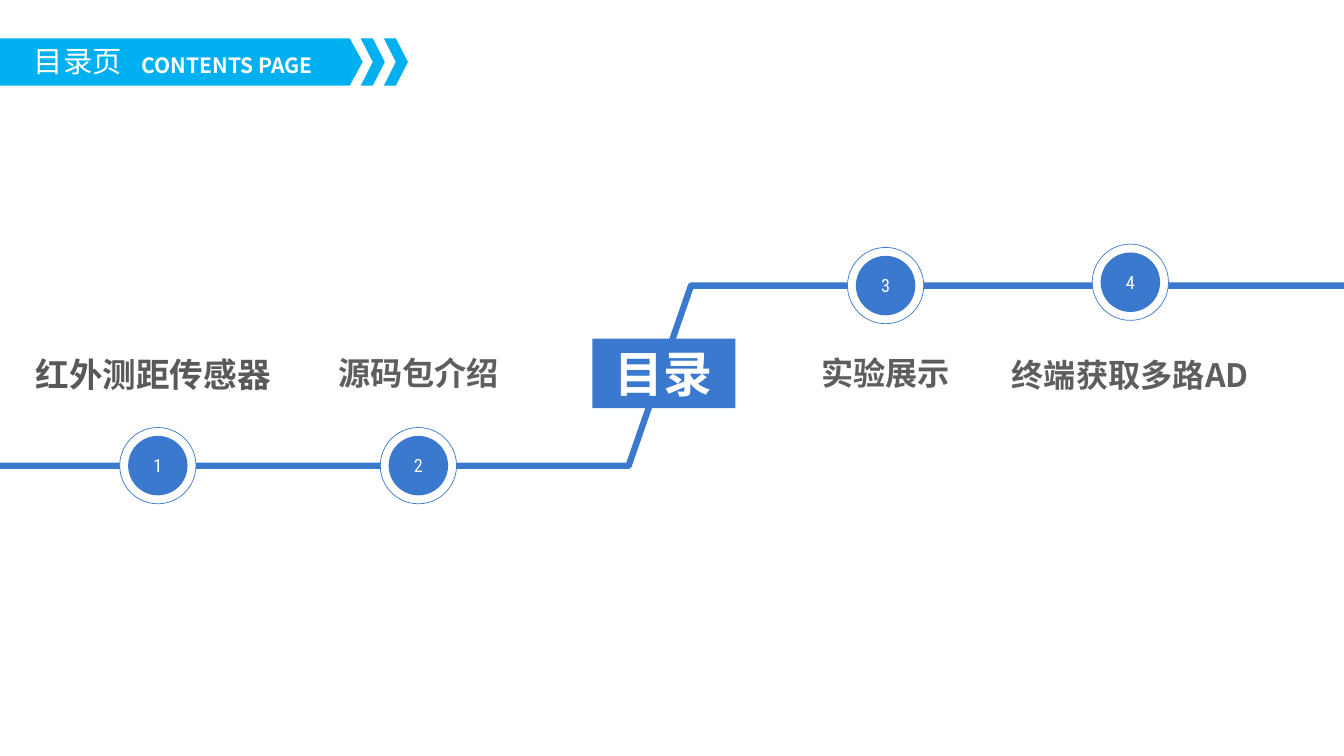
from dataclasses import dataclass

import lxml.etree
import pptx
import pptx.dml.color
import pptx.enum.shapes
import pptx.enum.text
import pptx.oxml.ns
import pptx.util

Pt = pptx.util.Pt
ALIGN = pptx.enum.text.PP_ALIGN
ANCHOR = pptx.enum.text.MSO_ANCHOR
SHAPE = pptx.enum.shapes.MSO_SHAPE

SLIDE_WIDTH, SLIDE_HEIGHT = 960.48, 540
BLUE, CYAN, WHITE = "3B79CE", "00B0F0", "FFFFFF"
SANS = "Noto Sans CJK SC"
LOW_TRACK, HIGH_TRACK = 332.6, 204
BANNER_TOP, BANNER_BOTTOM = 27.4, 61.2
BANNER_MIDDLE = (BANNER_TOP + BANNER_BOTTOM) / 2
CHEVRON_ARM, CHEVRON_STEP = 8.6, 16.5
RING_SIZE, DISC_SIZE = 54.5, 42.5


@dataclass
class Box:
    left: float
    top: float
    width: float
    height: float

    def lengths(self) -> tuple:
        return tuple(Pt(v) for v in (self.left, self.top, self.width, self.height))


@dataclass
class TextStyle:
    size: float
    color: str = WHITE
    font: str = SANS
    bold: bool = False
    alignment: int = ALIGN.CENTER
    anchor: int = ANCHOR.TOP


@dataclass
class Topic:
    center_x: float
    center_y: float
    label: str
    label_box: Box
    style: TextStyle


LABEL_STYLE = TextStyle(23, "5F5E5C", bold=True)
NUMBER_STYLE = TextStyle(13, font="Roboto Condensed", anchor=ANCHOR.MIDDLE)
TOPICS = [
    Topic(112.8, LOW_TRACK, "红外测距传感器", Box(0, 249.1, 218.9, 36),
          TextStyle(24, "595959", "Noto Sans CJK JP", True)),
    Topic(299, LOW_TRACK, "源码包介绍", Box(200.9, 249.1, 196.6, 35.3), LABEL_STYLE),
    Topic(632.9, HIGH_TRACK, "实验展示", Box(547.2, 249.1, 171.4, 35.3), LABEL_STYLE),
    Topic(807.8, 201.6, "终端获取多路AD", Box(714.2, 250.6, 187.2, 62.6), LABEL_STYLE),
]


def rgb(color: str) -> pptx.dml.color.RGBColor:
    return pptx.dml.color.RGBColor.from_string(color)


def write(shape, text: str, style: TextStyle) -> None:
    frame = shape.text_frame
    frame_format = {"word_wrap": True, "auto_size": pptx.enum.text.MSO_AUTO_SIZE.NONE,
                    "vertical_anchor": style.anchor}
    for name, value in frame_format.items():
        setattr(frame, name, value)
    paragraph = frame.paragraphs[0]
    paragraph.alignment = style.alignment
    run = paragraph.add_run()
    run.text = text
    font_format = {"size": Pt(style.size), "name": style.font, "bold": style.bold}
    for name, value in font_format.items():
        setattr(run.font, name, value)
    run.font.color.rgb = rgb(style.color)
    east_asian = lxml.etree.SubElement(run.font._element, pptx.oxml.ns.qn("a:ea"))
    east_asian.set("typeface", style.font)


def paint(shape, fill: str | None, line: str | None = None, width: float = 0) -> None:
    shape.shadow.inherit = False
    if fill:
        shape.fill.solid()
        shape.fill.fore_color.rgb = rgb(fill)
    else:
        shape.fill.background()
    if line:
        shape.line.color.rgb = rgb(line)
        shape.line.width = Pt(width)
    else:
        shape.line.fill.background()


def add_outline(slide, points: list, close: bool = True):
    corners = [(Pt(x), Pt(y)) for x, y in points]
    builder = slide.shapes.build_freeform(*corners[0])
    builder.add_line_segments(corners[1:], close=close)
    return builder.convert_to_shape()


def add_text(slide, text: str, box: Box, style: TextStyle) -> None:
    write(slide.shapes.add_textbox(*box.lengths()), text, style)


def add_circle(slide, topic: Topic, size: float):
    box = Box(topic.center_x - size / 2, topic.center_y - size / 2, size, size)
    return slide.shapes.add_shape(SHAPE.OVAL, *box.lengths())


def add_topic(slide, number: int, topic: Topic) -> None:
    paint(add_circle(slide, topic, RING_SIZE), WHITE, BLUE, 0.5)
    disc = add_circle(slide, topic, DISC_SIZE)
    paint(disc, BLUE)
    write(disc, str(number), NUMBER_STYLE)
    add_text(slide, topic.label, topic.label_box, topic.style)


def add_banner(slide) -> None:
    for index in range(2):
        left = 257.8 + index * CHEVRON_STEP
        middle, tip = left + CHEVRON_ARM, left + 2 * CHEVRON_ARM
        paint(add_outline(slide, [
            (left, BANNER_TOP), (middle, BANNER_TOP), (tip, BANNER_MIDDLE),
            (middle, BANNER_BOTTOM), (left, BANNER_BOTTOM), (middle, BANNER_MIDDLE)]), CYAN)
    paint(add_outline(slide, [
        (0, BANNER_TOP), (250, BANNER_TOP), (259.2, BANNER_MIDDLE),
        (250, BANNER_BOTTOM), (0, BANNER_BOTTOM)]), CYAN)
    add_text(slide, "CONTENTS PAGE", Box(94.3, 33.8, 163.4, 25.2),
             TextStyle(15, bold=True, alignment=ALIGN.LEFT))


def add_title(slide) -> None:
    """Fill the title placeholder and bring it in front of the banner."""
    title = slide.shapes.title
    title.left, title.top, title.width, title.height = Box(0, 27.4, 94.3, 32.4).lengths()
    write(title, "目录页", TextStyle(21, alignment=ALIGN.RIGHT))
    slide.shapes.element.append(title.element)


def main() -> None:
    presentation = pptx.Presentation()
    presentation.slide_width = Pt(SLIDE_WIDTH)
    presentation.slide_height = Pt(SLIDE_HEIGHT)
    slide = presentation.slides.add_slide(presentation.slide_layouts[5])

    track = add_outline(slide, [(0, LOW_TRACK), (449.3, LOW_TRACK),
                                (493.9, HIGH_TRACK), (SLIDE_WIDTH, HIGH_TRACK)], close=False)
    paint(track, None, BLUE, 4.5)
    for number, topic in enumerate(TOPICS, start=1):
        add_topic(slide, number, topic)

    center_label = slide.shapes.add_shape(
        SHAPE.RECTANGLE, *Box(423.4, 241.9, 102.2, 49.7).lengths())
    paint(center_label, BLUE)
    write(center_label, "目录", TextStyle(35, bold=True))

    add_banner(slide)
    add_title(slide)
    presentation.save("out.pptx")


if __name__ == "__main__":
    main()
